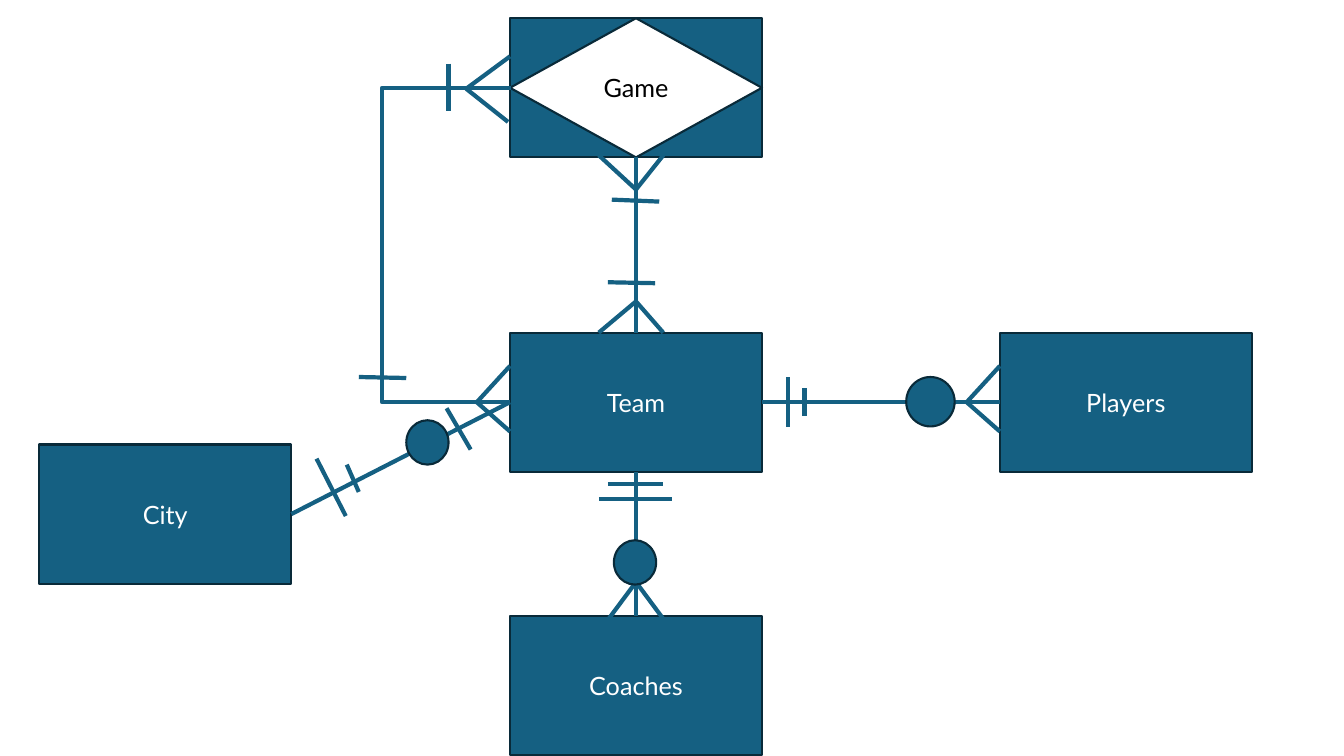
from lxml import etree
from pptx import Presentation
from pptx.dml.color import RGBColor
from pptx.enum.shapes import MSO_CONNECTOR, MSO_SHAPE
from pptx.enum.text import MSO_ANCHOR, PP_ALIGN
from pptx.oxml.ns import qn
from pptx.util import Pt

RECTANGLE, DIAMOND, OVAL = MSO_SHAPE.RECTANGLE, MSO_SHAPE.DIAMOND, MSO_SHAPE.OVAL
STRAIGHT, ELBOW = MSO_CONNECTOR.STRAIGHT, MSO_CONNECTOR.ELBOW
CENTER, MIDDLE = PP_ALIGN.CENTER, MSO_ANCHOR.MIDDLE
TOP, LEFT, BOTTOM, RIGHT = range(4)  # connection sites of a box

BLUE, OUTLINE, WHITE, BLACK = "156082", "092A39", "FFFFFF", "000000"
FONT, FONT_SIZE = "Lato", 18
BOX_W, BOX_H = 180, 99.4
MIDDLE_X, TEAM_Y = 364.3, 237.6

# Entities: left and top of each box
ENTITIES = {
    "City": (28.1, 317.5),
    "Game": (MIDDLE_X, 13),
    "Players": (714.2, TEAM_Y),
    "Team": (MIDDLE_X, TEAM_Y),
    "Coaches": (MIDDLE_X, 440),
}
ASSOCIATIVE = "Game"

# Relationships: entity and side at each end
RELATIONSHIPS = [
    ("City", RIGHT, "Team", LEFT),
    ("Team", BOTTOM, "Coaches", TOP),
    ("Team", RIGHT, "Players", LEFT),
    ("Game", BOTTOM, "Team", TOP),
]
LOOP_REACH = 90  # how far the second Game-Team line swings left

# "Many" marks: apex and the two toes
CROWS_FEET = [
    ((333, 63.4), (364.3, 40.3), (362.9, 87.1)),       # Game, left
    ((340.6, 287.3), (364.3, 261.4), (364.3, 308.2)),  # Team, left
    ((454.3, 415.8), (434.2, 442.8), (473.8, 442.1)),  # Coaches, top
    ((690.5, 287.3), (714.2, 261.4), (714.2, 308.2)),  # Players, left
    ((454.3, 135.4), (427.7, 110.9), (473.8, 110.9)),  # Game, bottom
    ((454.3, 215.3), (427.7, 237.6), (473.8, 237.6)),  # Team, top
]

# "One" marks: both ends of each bar
BARS = [
    ((226.1, 327.6), (247, 368.6)), ((247.7, 331.9), (256.3, 351.4)),  # City
    ((319, 291.6), (336.2, 321.1)),                                    # Team, to City
    ((434.2, 345.6), (473.8, 345.6)), ((427.7, 356.4), (480.2, 356.4)),  # to Coaches
    ((563, 269.3), (563, 305.3)), ((574.6, 277.2), (574.6, 297.4)),    # to Players
    ((256.3, 269.3), (290.2, 270)), ((320.4, 45.4), (320.4, 79.2)),    # Game loop
    ((437, 142.6), (470.9, 144)), ((434.2, 201.6), (468, 202.3)),      # Game to Team
]

# "Zero" marks: left, top, width, height
CIRCLES = [
    (647.3, 269.3, 34.6, 35.3),
    (438.5, 385.9, 30.2, 31.7),
    (290.2, 300.2, 30.2, 31.7),
]


def color(hex_string):
    return RGBColor.from_string(hex_string)


def add_figure(kind, left, top, width, height, fill=BLUE, label="", ink=WHITE):
    figure = slide.shapes.add_shape(kind, Pt(left), Pt(top), Pt(width), Pt(height))
    figure.shadow.inherit = False
    figure.fill.solid()
    figure.fill.fore_color.rgb = color(fill)
    figure.line.color.rgb = color(OUTLINE)
    figure.line.width = Pt(1.5)
    if label:
        figure.text_frame.vertical_anchor = MIDDLE
        paragraph = figure.text_frame.paragraphs[0]
        paragraph.alignment = CENTER
        run = paragraph.add_run()
        run.text = label
        run.font.name = FONT
        run.font.size = Pt(FONT_SIZE)
        run.font.color.rgb = color(ink)
    return figure


def add_line(start, end, kind=STRAIGHT):
    line = slide.shapes.add_connector(kind, *(Pt(v) for v in (*start, *end)))
    line.line.color.rgb = color(BLUE)
    line.line.width = Pt(3)
    etree.SubElement(line.element.spPr, qn("a:effectLst"))
    return line


presentation = Presentation()
presentation.slide_width, presentation.slide_height = Pt(960), Pt(540)
slide = presentation.slides.add_slide(presentation.slide_layouts[6])

# Entity boxes, with a diamond inside the associative one
boxes = {}
for name, (left, top) in ENTITIES.items():
    label = "" if name == ASSOCIATIVE else name
    boxes[name] = add_figure(RECTANGLE, left, top, BOX_W, BOX_H, label=label)
add_figure(DIAMOND, *ENTITIES[ASSOCIATIVE], BOX_W, BOX_H, WHITE, ASSOCIATIVE, BLACK)

# Straight relationships, glued to the boxes
for source, source_side, target, target_side in RELATIONSHIPS:
    relationship = add_line((0, 0), (0, 0))
    relationship.begin_connect(boxes[source], source_side)
    relationship.end_connect(boxes[target], target_side)

# Second Game-Team relationship, looping round the left
loop_ends = [ENTITIES[name][1] + BOX_H / 2 for name in ("Game", "Team")]
loop_width = 0.5
loop = add_line((MIDDLE_X + loop_width, loop_ends[0]), (MIDDLE_X, loop_ends[1]), ELBOW)
adjustments = loop.element.spPr.find(qn("a:prstGeom")).get_or_add_avLst()
bend = round((LOOP_REACH / loop_width) * 100000)
etree.SubElement(adjustments, qn("a:gd"), name="adj1", fmla=f"val {bend}")

# Cardinality marks
for apex, *toes in CROWS_FEET:
    for toe in toes:
        add_line(apex, toe)
for start, end in BARS:
    add_line(start, end)
for circle in CIRCLES:
    add_figure(OVAL, *circle)

presentation.save("out.pptx")
